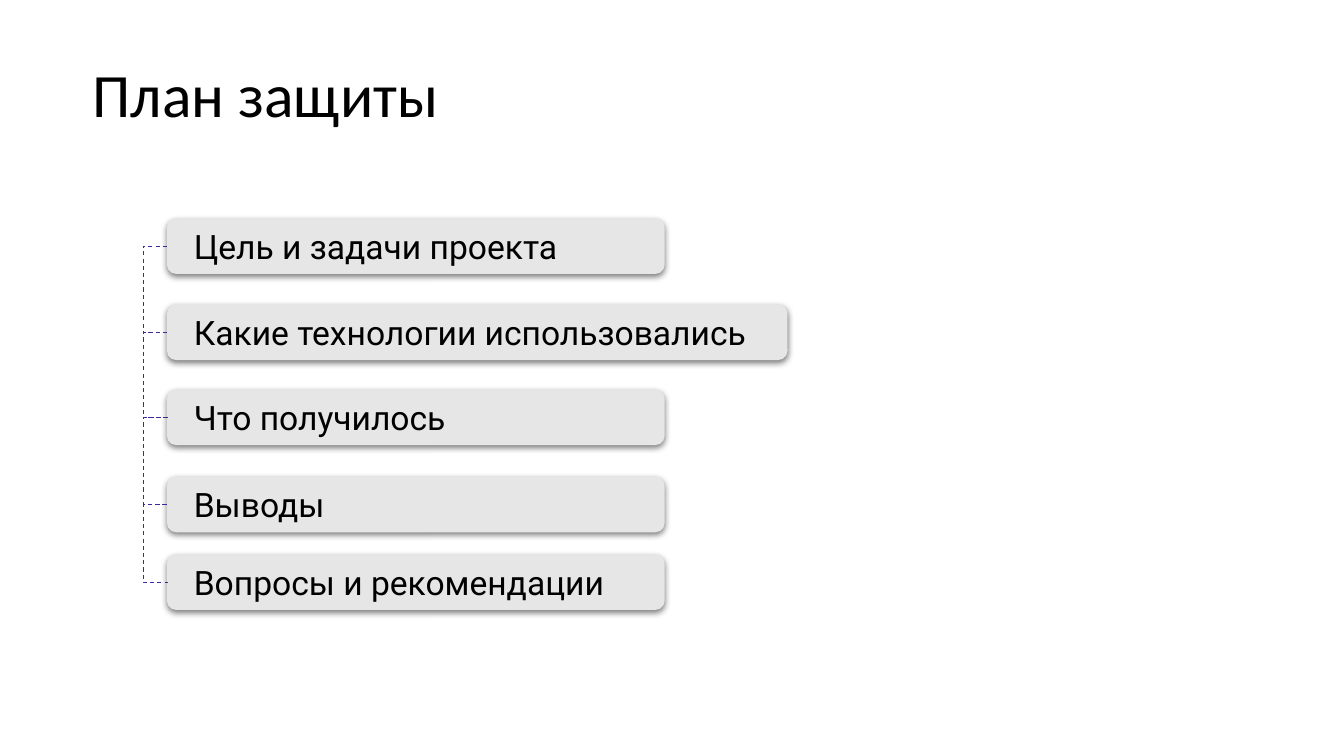
from lxml import etree
from pptx import Presentation
from pptx.dml.color import RGBColor
from pptx.enum.dml import MSO_LINE
from pptx.enum.shapes import MSO_CONNECTOR, MSO_SHAPE
from pptx.enum.text import MSO_ANCHOR, MSO_AUTO_SIZE, PP_ALIGN
from pptx.oxml import parse_xml
from pptx.oxml.ns import nsdecls, qn
from pptx.util import Pt

PX = 9525  # EMU in one px, 96 px to the inch
BLACK = RGBColor(0x00, 0x00, 0x00)
GRAY = RGBColor(0xE7, 0xE6, 0xE6)
VIOLET = RGBColor(0x3F, 0x29, 0x9A)
ROUNDED = MSO_SHAPE.ROUNDED_RECTANGLE
ELBOW = MSO_CONNECTOR.ELBOW
DASH = MSO_LINE.DASH
LEFT = PP_ALIGN.LEFT
MIDDLE = MSO_ANCHOR.MIDDLE
FIT_SHAPE = MSO_AUTO_SIZE.SHAPE_TO_FIT_TEXT

BOX_LEFT, BOX_HEIGHT = 159, 53
LEFT_SIDE = 1
ELBOW_REACH = 23  # distance of the bend from the boxes
SHADOW = (
    f'<a:effectLst {nsdecls("a")}>'
    '<a:outerShdw blurRad="57150" dist="19050" dir="5400000" algn="ctr" rotWithShape="0">'
    '<a:srgbClr val="000000"><a:alpha val="50000"/></a:srgbClr>'
    '</a:outerShdw></a:effectLst>'
)


def place(shape, left, top, width, height):
    lengths = {"left": left, "top": top, "width": width, "height": height}
    for name, length in lengths.items():
        setattr(shape, name, length * PX)


def write(shape, text, font_name, size, side_margin):
    frame = shape.text_frame
    frame.text = text
    frame_format = {
        "word_wrap": True, "vertical_anchor": MIDDLE,
        "margin_left": side_margin * PX, "margin_right": side_margin * PX,
        "margin_top": 12 * PX, "margin_bottom": 12 * PX,
    }
    for name, value in frame_format.items():
        setattr(frame, name, value)
    paragraph = frame.paragraphs[0]
    paragraph.alignment = LEFT
    font = paragraph.runs[0].font
    font.name = font_name
    font.size = Pt(size)
    font.color.rgb = BLACK


presentation = Presentation()
presentation.slide_width = 1280 * PX
presentation.slide_height = 720 * PX
slide = presentation.slides.add_slide(presentation.slide_layouts[5])

# Title
title = slide.shapes.title
place(title, 76, 48, 1192, 90)
write(title, "План защиты", "Calibri", 44, 12)
title.text_frame.auto_size = FIT_SHAPE
title.text_frame.paragraphs[0].line_spacing = 0.9

# Plan items: text, top, width
plan = [
    ("Цель и задачи проекта", 208, 474),
    ("Какие технологии использовались", 290, 591),
    ("Что получилось", 371, 474),
    ("Выводы", 454, 474),
    ("Вопросы и рекомендации", 528, 474),
]
boxes = []
for text, top, width in plan:
    box = slide.shapes.add_shape(ROUNDED, 0, 0, 0, 0)
    place(box, BOX_LEFT, top, width, BOX_HEIGHT)
    box.adjustments[0] = 0.167
    box.fill.solid()
    box.fill.fore_color.rgb = GRAY
    box.line.fill.background()
    box._element.spPr.append(parse_xml(SHADOW))
    write(box, text, "Roboto", 24, 23)
    boxes.append(box)

# Dashed brackets between neighbouring items
for upper, lower in zip(boxes, boxes[1:]):
    bracket = slide.shapes.add_connector(ELBOW, upper.left, upper.top, lower.left + PX, lower.top)
    bracket.begin_connect(upper, LEFT_SIDE)
    bracket.end_connect(lower, LEFT_SIDE)
    bracket.width = PX  # the bend is measured in shares of this width
    bracket.line.color.rgb = VIOLET
    bracket.line.width = Pt(0.75)
    bracket.line.dash_style = DASH
    properties = bracket._element.spPr
    etree.SubElement(properties, qn("a:effectLst"))
    guides = properties.find(qn("a:prstGeom")).find(qn("a:avLst"))
    etree.SubElement(guides, qn("a:gd"), name="adj1", fmla=f"val {-ELBOW_REACH * 100000}")

presentation.save("out.pptx")
